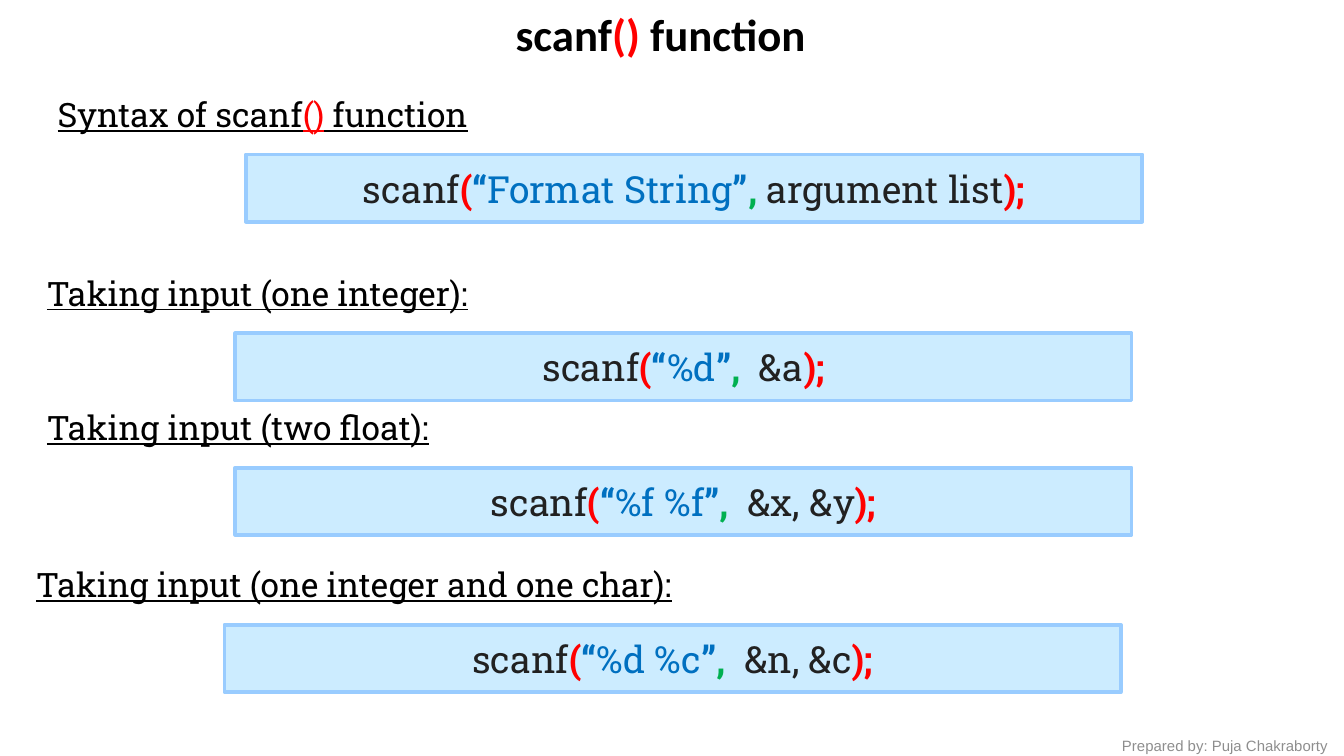
from typing import NamedTuple

from pptx import Presentation
from pptx.dml.color import RGBColor
from pptx.enum.shapes import MSO_SHAPE
from pptx.enum.text import MSO_ANCHOR, MSO_AUTO_SIZE, PP_ALIGN
from pptx.util import Inches, Pt

COLORS = {
    "black": "000000",
    "code": "212121",
    "red": "FF0000",
    "blue": "0070C0",
    "green": "00B050",
    "box_fill": "CCECFF",
    "box_line": "99CCFF",
    "credit": "8E8E8E",
}
BODY_FONT = "Roboto Slab"
BOX_INDENT = 1.5
BOX_DROP = 0.5


class Span(NamedTuple):
    text: str
    color: str
    bold: bool | None = None


class Example(NamedTuple):
    left: float
    top: float
    heading_width: float
    heading: list[Span]
    format_string: str
    separator: str
    arguments: str


def color(name: str) -> RGBColor:
    return RGBColor.from_string(COLORS[name])


def write(frame, spans: list[Span], font: str, size: int, align=PP_ALIGN.LEFT):
    paragraph = frame.paragraphs[0]
    paragraph.alignment = align
    paragraph.font.name = font
    paragraph.font.size = Pt(size)
    for span in spans:
        run = paragraph.add_run()
        run.text = span.text
        run.font.color.rgb = color(span.color)
        run.font.bold = span.bold
    return paragraph


def add_text(page, left: float, top: float, width: float, height: float,
             spans: list[Span], font: str, size: int):
    box = page.shapes.add_textbox(Inches(left), Inches(top), Inches(width), Inches(height))
    box.text_frame.word_wrap = True
    box.text_frame.auto_size = MSO_AUTO_SIZE.SHAPE_TO_FIT_TEXT
    return write(box.text_frame, spans, font, size)


def add_title(page, spans: list[Span]) -> None:
    title = page.shapes.title
    title.left, title.top = Inches(1.83), Inches(0)
    title.width, title.height = Inches(6.17), Inches(0.5)
    frame = title.text_frame
    frame.auto_size = MSO_AUTO_SIZE.SHAPE_TO_FIT_TEXT
    frame.vertical_anchor = MSO_ANCHOR.TOP
    write(frame, spans, "Calibri", 24, PP_ALIGN.CENTER).font.bold = True


def call_spans(example: Example) -> list[Span]:
    return [
        Span("scanf", "code"),
        Span("(", "red", True),
        Span("“", "blue", True),
        Span(example.format_string, "blue"),
        Span("”", "blue", True),
        Span(example.separator, "green", True),
        Span(example.arguments, "code"),
        Span(");", "red", True),
    ]


def add_example(page, example: Example) -> None:
    heading = add_text(page, example.left, example.top, example.heading_width, 0.4,
                       example.heading, BODY_FONT, 18)
    heading.font.underline = True
    box = page.shapes.add_shape(
        MSO_SHAPE.RECTANGLE, Inches(example.left + BOX_INDENT),
        Inches(example.top + BOX_DROP), Inches(6.67), Inches(0.5))
    box.shadow.inherit = False
    box.fill.solid()
    box.fill.fore_color.rgb = color("box_fill")
    box.line.color.rgb = color("box_line")
    box.line.width = Pt(2)
    box.text_frame.word_wrap = True
    box.text_frame.vertical_anchor = MSO_ANCHOR.MIDDLE
    write(box.text_frame, call_spans(example), BODY_FONT, 20, PP_ALIGN.CENTER)


def function_name(start: str) -> list[Span]:
    return [Span(start, "black"), Span("()", "red"), Span(" function", "black")]


EXAMPLES = [
    Example(0.33, 0.65, 3.58, function_name("Syntax of scanf"),
            "Format String", ", ", "argument list"),
    Example(0.25, 1.98, 5.42, [Span("Taking input (one integer):", "black")],
            "%d", ",  ", "&a"),
    Example(0.25, 2.98, 5.42, [Span("Taking input (two float):", "black")],
            "%f %f", ",  ", "&x, &y"),
    Example(0.17, 4.15, 5.42, [Span("Taking input (one integer and one char):", "black")],
            "%d %c", ",  ", "&n, &c"),
]


def main() -> None:
    deck = Presentation()
    deck.slide_width = Inches(10)
    deck.slide_height = deck.slide_width * 9 // 16
    page = deck.slides.add_slide(deck.slide_layouts[5])
    add_text(page, 8.25, 5.43, 1.83, 0.24,
             [Span("Prepared by: Puja Chakraborty", "credit")], "Arial", 8)
    add_title(page, function_name("scanf"))
    for example in EXAMPLES:
        add_example(page, example)
    deck.save("out.pptx")


if __name__ == "__main__":
    main()
